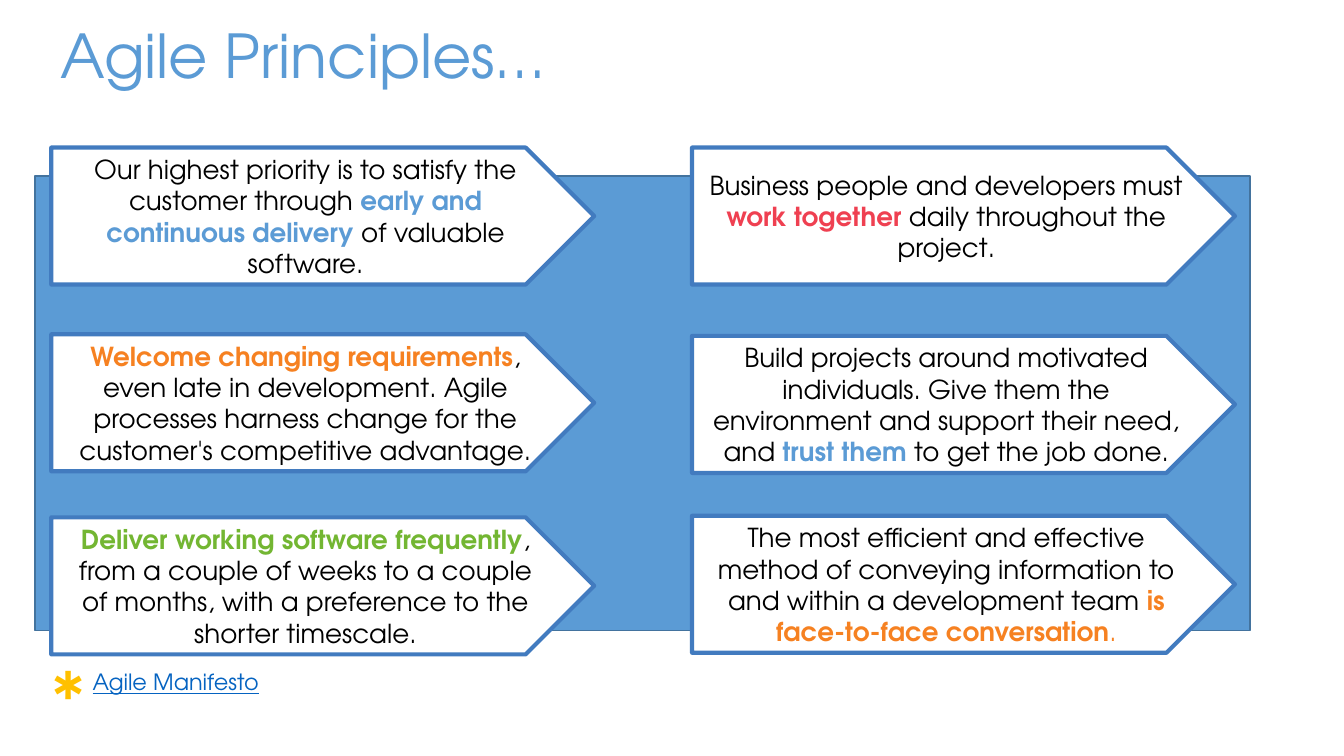
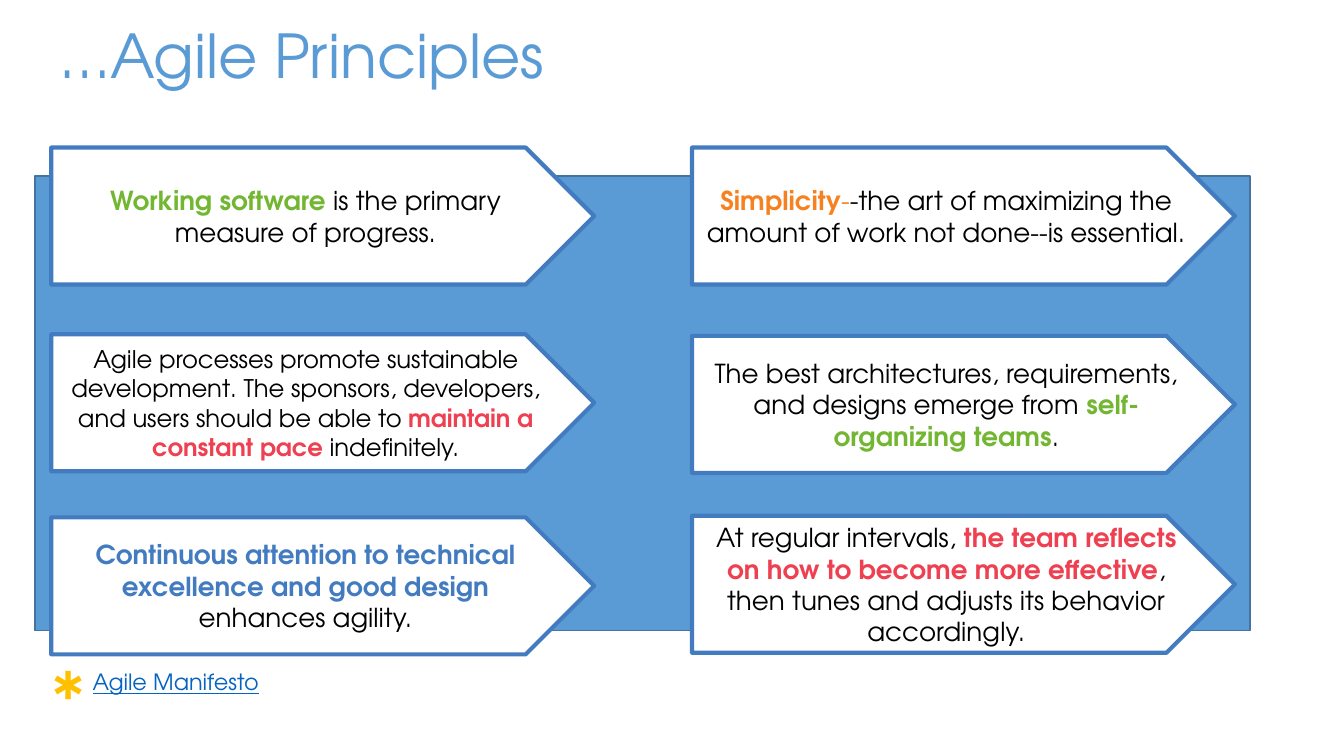
from pptx import Presentation
from pptx.dml.color import RGBColor
from pptx.enum.shapes import MSO_SHAPE
from pptx.enum.text import MSO_ANCHOR, MSO_AUTO_SIZE, PP_ALIGN
from pptx.util import Cm, Pt

RECTANGLE = MSO_SHAPE.RECTANGLE
PENTAGON = MSO_SHAPE.PENTAGON
MIDDLE = MSO_ANCHOR.MIDDLE
BOTTOM = MSO_ANCHOR.BOTTOM
CENTER = PP_ALIGN.CENTER
GROW = MSO_AUTO_SIZE.SHAPE_TO_FIT_TEXT
FONT = "TeX Gyre Adventor"

COLORS = {
    "black": "000000",
    "white": "FFFFFF",
    "blue": "5B9BD5",
    "panel edge": "43739E",
    "arrow edge": "427BBF",
    "red": "EF4051",
    "orange": "F68121",
    "green": "73B632",
    "link": "0563C1",
    "star": "FFC000",
}

COLUMNS = [(0.97, [2.79, 6.32, 9.78]), (13.08, [2.79, 6.35, 9.75])]

SLIDES = [
    ("Agile Principles…", [
        [
            (14, [("Our highest priority is to satisfy the customer through ", "black", False),
                  ("early and continuous delivery", "blue", True),
                  (" of valuable software.", "black", False)]),
            (14, [("Welcome changing requirements", "orange", True),
                  (", even late in development. Agile processes harness change "
                   "for the customer's competitive advantage.", "black", False)]),
            (14, [("Deliver working software frequently", "green", True),
                  (", from a couple of weeks to a couple of months, "
                   "with a preference to the shorter timescale.", "black", False)]),
        ],
        [
            (14, [("Business people and developers must ", "black", False),
                  ("work together ", "red", True),
                  ("daily throughout the project.", "black", False)]),
            (14, [("Build projects around motivated individuals. Give them the "
                   "environment and support their need, and ", "black", False),
                  ("trust them ", "blue", True),
                  ("to get the job done.", "black", False)]),
            (14, [("The most efficient and effective method of conveying information "
                   "to and within a development team ", "black", False),
                  ("is face-to-face conversation", "orange", True),
                  (".", "orange", False)]),
        ],
    ]),
    ("…Agile Principles", [
        [
            (14, [("Working software ", "green", True),
                  ("is the primary measure of progress.", "black", False)]),
            (13, [("Agile processes promote sustainable development. The sponsors, "
                   "developers, and users should be able to ", "black", False),
                  ("maintain a constant pace ", "red", True),
                  ("indefinitely.", "black", False)]),
            (14, [("Continuous attention to technical excellence and good design ",
                   "arrow edge", True),
                  ("enhances agility.", "black", False)]),
        ],
        [
            (14, [("Simplicity", "orange", True),
                  ("-", "orange", False),
                  ("-the art of maximizing the amount of work not done--is essential.",
                   "black", False)]),
            (14, [("The best architectures, requirements, and designs emerge from ",
                   "black", False),
                  ("self-organizing teams", "green", True),
                  (".", "black", False)]),
            (14, [("At regular intervals, ", "black", False),
                  ("the team reflects on how to become more effective", "red", True),
                  (", then tunes and adjusts its behavior accordingly.", "black", False)]),
        ],
    ]),
]


def add_block(page, kind, place, fill, edge, weight):
    block = page.shapes.add_shape(kind, *[Cm(length) for length in place])
    block.shadow.inherit = False
    block.fill.solid()
    block.fill.fore_color.rgb = RGBColor.from_string(COLORS[fill])
    block.line.color.rgb = RGBColor.from_string(COLORS[edge])
    block.line.width = Pt(weight)
    return block


def write(box, spans, size):
    box.text_frame.word_wrap = True
    para = box.text_frame.paragraphs[0]
    for text, color, bold in spans:
        span = para.add_run()
        span.text = text
        span.font.name = FONT
        span.font.size = Pt(size)
        span.font.bold = bold
        span.font.color.rgb = RGBColor.from_string(COLORS[color])
    return para


deck = Presentation()
deck.slide_width = Cm(25.4)
deck.slide_height = Cm(14.29)

for title, principles in SLIDES:
    page = deck.slides.add_slide(deck.slide_layouts[6])
    add_block(page, RECTANGLE, (0.66, 3.33, 22.96, 8.59), "blue", "panel edge", 1)

    heading = page.shapes.add_textbox(Cm(0.97), Cm(0.46), Cm(19.86), Cm(1.35))
    frame = heading.text_frame
    frame.vertical_anchor = BOTTOM
    frame.margin_left = frame.margin_right = Cm(0.18)
    frame.margin_top = frame.margin_bottom = Cm(0.1)
    write(heading, [(title, "blue", False)], 32.4)

    for (left, tops), column in zip(COLUMNS, principles):
        for top, (size, spans) in zip(tops, column):
            arrow = add_block(page, PENTAGON, (left, top, 10.26, 2.59),
                              "white", "arrow edge", 2.25)
            arrow.text_frame.vertical_anchor = MIDDLE
            write(arrow, spans, size).alignment = CENTER

    source = page.shapes.add_textbox(Cm(1.5), Cm(12.5), Cm(4.95), Cm(0.76))
    source.text_frame.auto_size = GROW
    write(source, [("Agile Manifesto", "link", False)], 12).runs[0].font.underline = True

    star = page.shapes.add_textbox(Cm(0.74), Cm(12.19), Cm(1.07), Cm(1.96))
    star.text_frame.auto_size = GROW
    write(star, [("*", "star", False)], 40)

deck.save("out.pptx")
